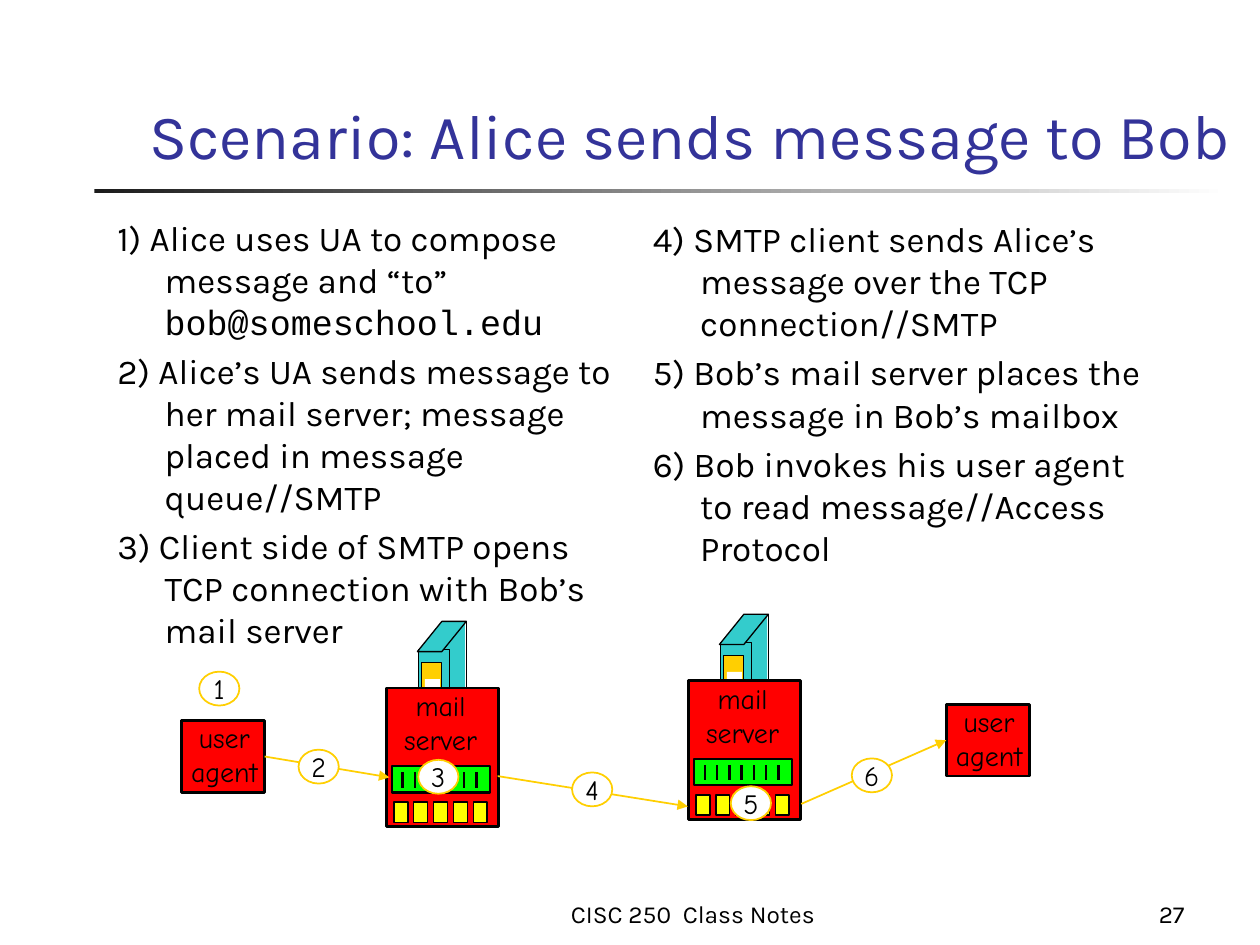
from lxml import etree
from pptx import Presentation
from pptx import util as u
from pptx.dml.color import RGBColor
from pptx.enum import shapes as sh, text as tx
from pptx.oxml import ns

BLACK = RGBColor(0, 0, 0)
WHITE = RGBColor(0xFF, 0xFF, 0xFF)
DARK = RGBColor(0x1C, 0x1C, 0x1C)
NAVY = RGBColor(0x33, 0x33, 0x99)
RED = RGBColor(0xFF, 0, 0)
TEAL = RGBColor(0x33, 0xCC, 0xCC)
GOLD = RGBColor(0xFF, 0xCF, 0x01)
GREEN = RGBColor(0, 0xFF, 0)
YELLOW = RGBColor(0xFF, 0xFF, 0)

BODY, HAND, MONO = "Karla", "Comic Neue", "Courier New"
KIND = sh.MSO_SHAPE
ALIGN = tx.PP_ALIGN
ANCHOR = tx.MSO_ANCHOR

LEFT_STEPS = """1) Alice uses UA to compose message and “to” bob@someschool.edu
2) Alice’s UA sends message to her mail server; message placed in message queue//SMTP
3) Client side of SMTP opens TCP connection with Bob’s mail server"""
RIGHT_STEPS = """4) SMTP client sends Alice’s message over the TCP connection//SMTP
5) Bob’s mail server places the message in Bob’s mailbox
6) Bob invokes his user agent to read message//Access Protocol"""


def write(frame, words, font=BODY, size=20, color=BLACK, align=ALIGN.LEFT,
          anchor=ANCHOR.TOP, wrap=True, hang=0, gap=0, mono=None):
    """Fill a frame, one paragraph a line; the part equal to mono is monospaced."""
    frame.word_wrap = wrap
    frame.auto_size = tx.MSO_AUTO_SIZE.NONE
    frame.vertical_anchor = anchor
    for i, line in enumerate(words.split("\n")):
        para = frame.add_paragraph() if i else frame.paragraphs[0]
        para.alignment = align
        if i and gap:
            para.space_before = u.Pt(gap)
        if hang:
            props = para._p.get_or_add_pPr()
            props.set("marL", str(u.Pt(hang)))
            props.set("indent", str(-u.Pt(hang)))
        for part in line.partition(mono) if mono else [line]:
            if part:
                run = para.add_run()
                run.text = part
                run.font.name = MONO if part == mono else font
                run.font.size = u.Pt(size)
                run.font.color.rgb = color


class Board:
    """Draws on the current slide, or on its current group."""

    def __init__(self, slide):
        self.slide = slide
        self.pen = slide.shapes

    def group(self):
        self.pen = self.slide.shapes.add_group_shape().shapes

    def leave(self):
        self.pen = self.slide.shapes

    def title(self, words, *box):
        head = self.slide.shapes.title
        head.left, head.top, head.width, head.height = map(u.Pt, box)
        write(head.text_frame, words, size=36, color=NAVY, anchor=ANCHOR.BOTTOM)

    def text(self, words, *box, **style):
        write(self.pen.add_textbox(*map(u.Pt, box)).text_frame, words, **style)

    def shape(self, kind, fill, *box, line=None, width=0.75):
        item = self.pen.add_shape(kind, *map(u.Pt, box))
        item.shadow.inherit = False
        item.fill.solid()
        item.fill.fore_color.rgb = fill
        if line is None:
            item.line.fill.background()
        else:
            item.line.color.rgb = line
            item.line.width = u.Pt(width)
        return item

    def rect(self, fill, *box, **style):
        return self.shape(KIND.RECTANGLE, fill, *box, **style)

    def line(self, *ends, color=BLACK, width=0.75, arrow=False):
        item = self.pen.add_connector(sh.MSO_CONNECTOR.STRAIGHT, *map(u.Pt, ends))
        item.line.color.rgb = color
        item.line.width = u.Pt(width)
        if arrow:
            tail = etree.SubElement(item.line._get_or_add_ln(), ns.qn("a:tailEnd"))
            tail.set("type", "triangle")
        etree.SubElement(item._element.spPr, ns.qn("a:effectLst"))
        return item

    def arrow(self, *ends):
        return self.line(*ends, color=GOLD, width=1, arrow=True)

    def rule(self, *box):
        """Draw the bar under the title, fading to the right."""
        fill = self.rect(DARK, *box).fill
        fill.gradient()
        fill.gradient_angle = 0
        for stop, color, place in zip(fill.gradient_stops, (DARK, WHITE), (0, 1)):
            stop.color.rgb = color
            stop.position = place

    def agent(self, x, y):
        self.group()
        box = self.rect(RED, x, y, 47.5, 41, line=BLACK, width=1.5)
        self.text("user\nagent", x - 3.5, y - 3.5, 56, 46, font=HAND, size=16,
                  align=ALIGN.CENTER, wrap=False)
        self.leave()
        return box

    def server(self, x, y):
        """Draw a mail server whose red case has its corner at x, y."""
        self.group()
        self.rect(TEAL, x + 31.7, y - 38, 13, 56)
        self.rect(TEAL, x + 18, y - 22, 18, 56, line=BLACK)
        top = self.shape(KIND.PARALLELOGRAM, TEAL, x + 17.5, y - 38, 28, 17.3,
                         line=BLACK)
        top.adjustments[0] = 0.81
        self.line(x + 45.5, y - 37.5, x + 45.5, y + 18)
        self.rect(GOLD, x + 20, y - 14.4, 11.5, 32.4, line=BLACK)
        self.rect(WHITE, x + 21.8, y - 5, 8.6, 11.5)
        self.rect(RED, x, y, 64, 79.2, line=BLACK, width=1.5)
        self.text("mail\nserver", x - 1, y - 3, 63.4, 46, font=HAND, size=16,
                  align=ALIGN.CENTER, wrap=False)
        self.rect(GREEN, x + 3, y + 44.7, 56, 15, line=BLACK, width=1.5)
        for i in range(7):
            bar = x + 9.2 + 7 * i
            self.line(bar, y + 48.3, bar, y + 57, width=1.5)
        for i in range(5):
            self.rect(YELLOW, x + 4.2 + 11.3 * i, y + 65.3, 8, 11.5, line=BLACK)
        self.leave()

    def badge(self, mark, x, y):
        item = self.shape(KIND.OVAL, WHITE, x, y, 23, 19.4, line=GOLD, width=1)
        write(item.text_frame, mark, font=HAND, size=16, align=ALIGN.CENTER,
              anchor=ANCHOR.MIDDLE, wrap=False)


def main():
    deck = Presentation()
    deck.slide_width, deck.slide_height = u.Pt(720), u.Pt(540)
    board = Board(deck.slides.add_slide(deck.slide_layouts[5]))

    board.rule(54, 108, 648, 2.2)
    board.title("Scenario: Alice sends message to Bob", 78, 12, 648.5, 90)
    board.text(LEFT_STEPS, 60, 120, 300, 253.5, hang=27, gap=4,
               mono="bob@someschool.edu")
    board.text(RIGHT_STEPS, 366, 121, 300, 257, hang=27, gap=4)
    board.text("CISC 250  Class Notes", 246, 498, 300, 36, size=14,
               align=ALIGN.CENTER, anchor=ANCHOR.BOTTOM)
    board.text("27", 618, 498, 66, 36, size=14, align=ALIGN.RIGHT,
               anchor=ANCHOR.BOTTOM)

    alice = board.agent(103.7, 411.8)
    board.server(221, 393.1)
    board.server(393.6, 389)
    bob = board.agent(540.7, 402.5)

    board.arrow(152, 432.7, 222.5, 444.2).begin_connect(alice, 3)
    board.arrow(284.4, 443.5, 393.1, 460.8)
    board.arrow(457.9, 459.4, 538.6, 425.5).end_connect(bob, 1)

    spots = [(113.8, 383.8), (170.6, 428.4), (239, 434.2),
             (326.9, 441.4), (417.6, 449.3), (486.7, 433.4)]
    for i, spot in enumerate(spots, 1):
        board.badge(str(i), *spot)

    deck.save("out.pptx")


if __name__ == "__main__":
    main()
